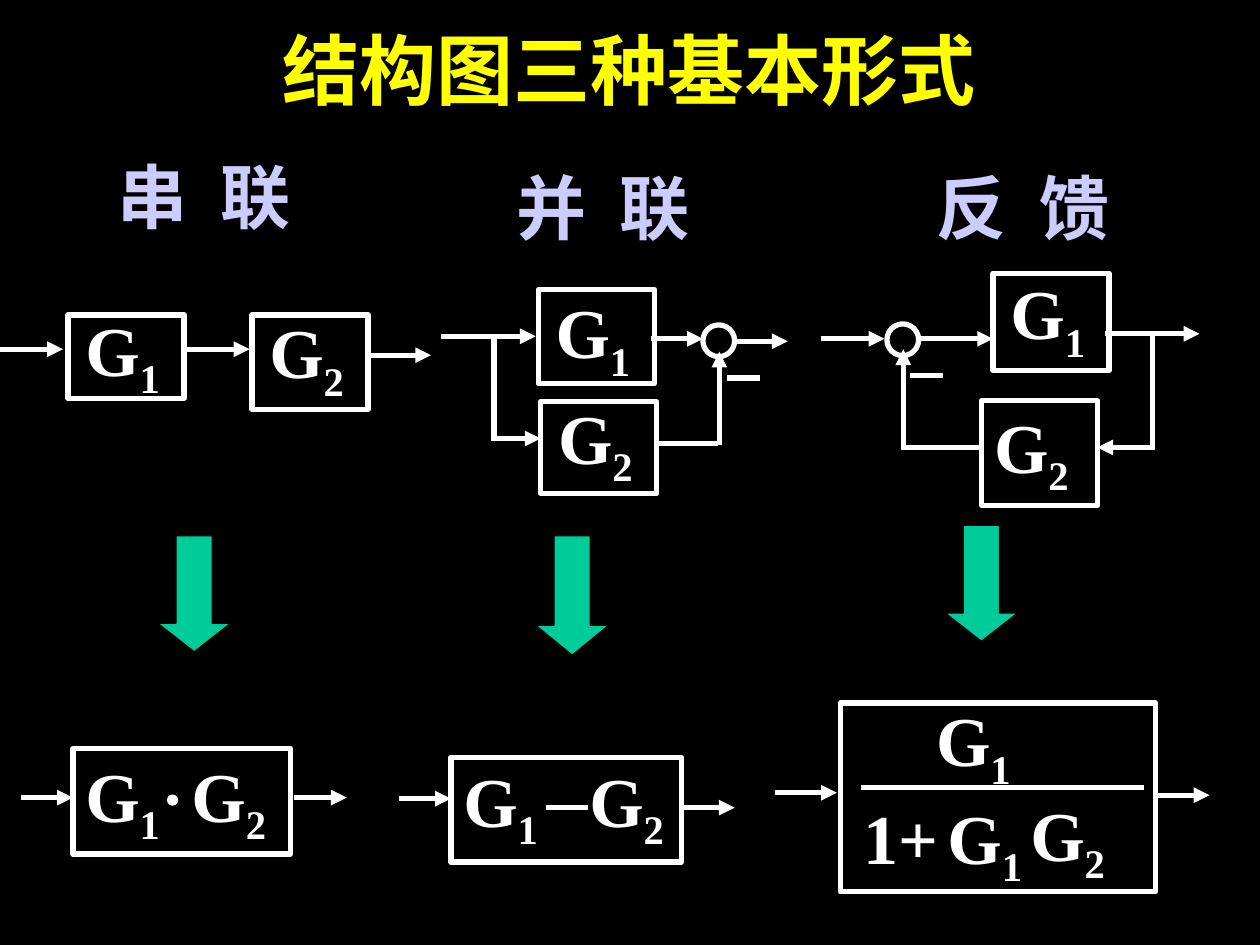
from lxml import etree
from pptx import Presentation
from pptx.dml.color import RGBColor
from pptx.enum.shapes import MSO_CONNECTOR as CONNECTOR, MSO_SHAPE as SHAPE
from pptx.enum.text import MSO_ANCHOR as ANCHOR, PP_ALIGN as ALIGN
from pptx.oxml.ns import qn
from pptx.util import Cm, Pt

COLORS = {
    "background": "000000",
    "title": "FFFF00",
    "heading": "CCCCFF",
    "diagram": "FFFFFF",
    "arrow": "00CC99",
}
PALETTE = {name: RGBColor.from_string(value) for name, value in COLORS.items()}
FONT = "Times New Roman"

deck = Presentation()
deck.slide_width, deck.slide_height = Cm(25.4), Cm(19.05)
page = deck.slides.add_slide(deck.slide_layouts[5])
page.background.fill.solid()
page.background.fill.fore_color.rgb = PALETTE["background"]


def format_span(span, size, color):
    span.font.name = FONT
    span.font.size = Pt(size)
    span.font.bold = True
    span.font.color.rgb = PALETTE[color]


def add_label(parts, left, top, width, height, color, anchor):
    box = page.shapes.add_textbox(Cm(left), Cm(top), Cm(width), Cm(height))
    box.text_frame.word_wrap = True
    box.text_frame.vertical_anchor = anchor
    for part in parts:
        span = box.text_frame.paragraphs[0].add_run()
        span.text = part
        format_span(span, 40, color)
    return box.text_frame.paragraphs[0].runs


title = page.shapes.title
title.left, title.top, title.width, title.height = Cm(1.9), Cm(-0.2), Cm(21.59), Cm(3.18)
title.text_frame.text = "结构图三种基本形式"
title.text_frame.vertical_anchor = ANCHOR.MIDDLE
title.text_frame.paragraphs[0].alignment = ALIGN.CENTER
format_span(title.text_frame.paragraphs[0].runs[0], 44, "title")

for heading, left, top in [("串 联", 2.11, 2.97), ("并 联", 10.16, 3.18), ("反 馈", 18.62, 3.18)]:
    spans = add_label([heading], left, top, 4.24, 1.96, "heading", ANCHOR.MIDDLE)
    spans[0].font._element.set("spc", "500")

gains = [
    ("1", 1.47, 6.05), ("2", 5.18, 6.1),
    ("1", 10.95, 5.69), ("2", 11, 7.82),
    ("1", 20.12, 5.31), ("2", 19.79, 8),
    ("1", 1.47, 15.04), ("2", 3.61, 15.04),
    ("1", 9.09, 15.14), ("2", 11.63, 15.14),
    ("1", 18.62, 13.92), ("1", 18.85, 15.88), ("2", 20.52, 15.82),
]
for index, left, top in gains:
    spans = add_label(["G", index], left, top, 2.54, 2.18, "diagram", ANCHOR.BOTTOM)
    spans[1].font._element.set("baseline", "-25000")
add_label(["1+"], 17.15, 15.88, 2.34, 1.96, "diagram", ANCHOR.BOTTOM)

outlines = [
    (SHAPE.RECTANGLE, 1.37, 6.35, 2.34, 1.68),
    (SHAPE.RECTANGLE, 5.08, 6.35, 2.34, 1.9),
    (SHAPE.RECTANGLE, 10.85, 5.84, 2.34, 1.9),
    (SHAPE.RECTANGLE, 10.9, 8.1, 2.34, 1.85),
    (SHAPE.RECTANGLE, 20.02, 5.51, 2.34, 1.96),
    (SHAPE.RECTANGLE, 19.79, 8.08, 2.34, 2.11),
    (SHAPE.RECTANGLE, 1.47, 15.09, 4.39, 2.13),
    (SHAPE.RECTANGLE, 9.09, 15.27, 4.65, 2.11),
    (SHAPE.RECTANGLE, 16.94, 14.17, 6.35, 3.81),
    (SHAPE.OVAL, 14.17, 6.55, 0.64, 0.64),
    (SHAPE.OVAL, 17.88, 6.53, 0.64, 0.64),
]
for kind, left, top, width, height in outlines:
    block = page.shapes.add_shape(kind, Cm(left), Cm(top), Cm(width), Cm(height))
    block.shadow.inherit = False
    block.fill.background()
    block.line.color.rgb = PALETTE["diagram"]
    block.line.width = Pt(3)

solids = [
    (SHAPE.OVAL, 3.38, 16.03, 0.2, 0.2, "diagram", "diagram", None),
    (SHAPE.DOWN_ARROW, 3.18, 10.8, 1.47, 2.34, "arrow", "background", 0.39),
    (SHAPE.DOWN_ARROW, 10.8, 10.8, 1.47, 2.41, "arrow", "background", 0.41),
    (SHAPE.DOWN_ARROW, 19.05, 10.59, 1.47, 2.34, "arrow", "background", 0.39),
]
for kind, left, top, width, height, fill, edge, head in solids:
    solid = page.shapes.add_shape(kind, Cm(left), Cm(top), Cm(width), Cm(height))
    solid.shadow.inherit = False
    solid.fill.solid()
    solid.fill.fore_color.rgb = PALETTE[fill]
    solid.line.color.rgb = PALETTE[edge]
    solid.line.width = Pt(0.75)
    if head:
        solid.adjustments[1] = head

signals = [
    (0, 7.04, 1.27, 7.04), (3.76, 7.04, 5.03, 7.04), (7.42, 7.16, 8.69, 7.16),
    (8.89, 6.78, 10.8, 6.78), (13.13, 6.83, 14.17, 6.83), (14.81, 6.88, 15.88, 6.88),
    (9.96, 8.84, 10.9, 8.84), (14.5, 8.97, 14.5, 7.09),
    (16.56, 6.83, 17.83, 6.83), (18.52, 6.83, 20.02, 6.83), (22.28, 6.73, 24.18, 6.73),
    (23.27, 9.02, 22.12, 9.02), (18.21, 9.07, 18.21, 7.04),
    (0.43, 16.08, 1.47, 16.08), (5.92, 16.08, 6.99, 16.08),
    (8.05, 16.1, 9.09, 16.1), (13.77, 16.28, 14.81, 16.28),
    (15.62, 15.98, 16.87, 15.98), (23.34, 16.03, 24.38, 16.03),
]
plain_lines = [
    (9.96, 6.78, 9.96, 8.89), (13.23, 8.94, 14.48, 8.94), (14.66, 7.62, 15.32, 7.62),
    (18.34, 7.57, 19, 7.57), (23.24, 6.73, 23.24, 9.07), (18.26, 9.02, 19.74, 9.02),
    (11, 16.28, 11.86, 16.28), (17.35, 15.88, 23.06, 15.88),
]
for lines, has_head in [(signals, True), (plain_lines, False)]:
    for ends in lines:
        wire = page.shapes.add_connector(CONNECTOR.STRAIGHT, *map(Cm, ends))
        wire.line.color.rgb = PALETTE["diagram"]
        wire.line.width = Pt(3)
        if has_head:
            etree.SubElement(wire.line._get_or_add_ln(), qn("a:tailEnd"), type="triangle")
        etree.SubElement(wire._element.spPr, qn("a:effectLst"))

deck.save("out.pptx")
